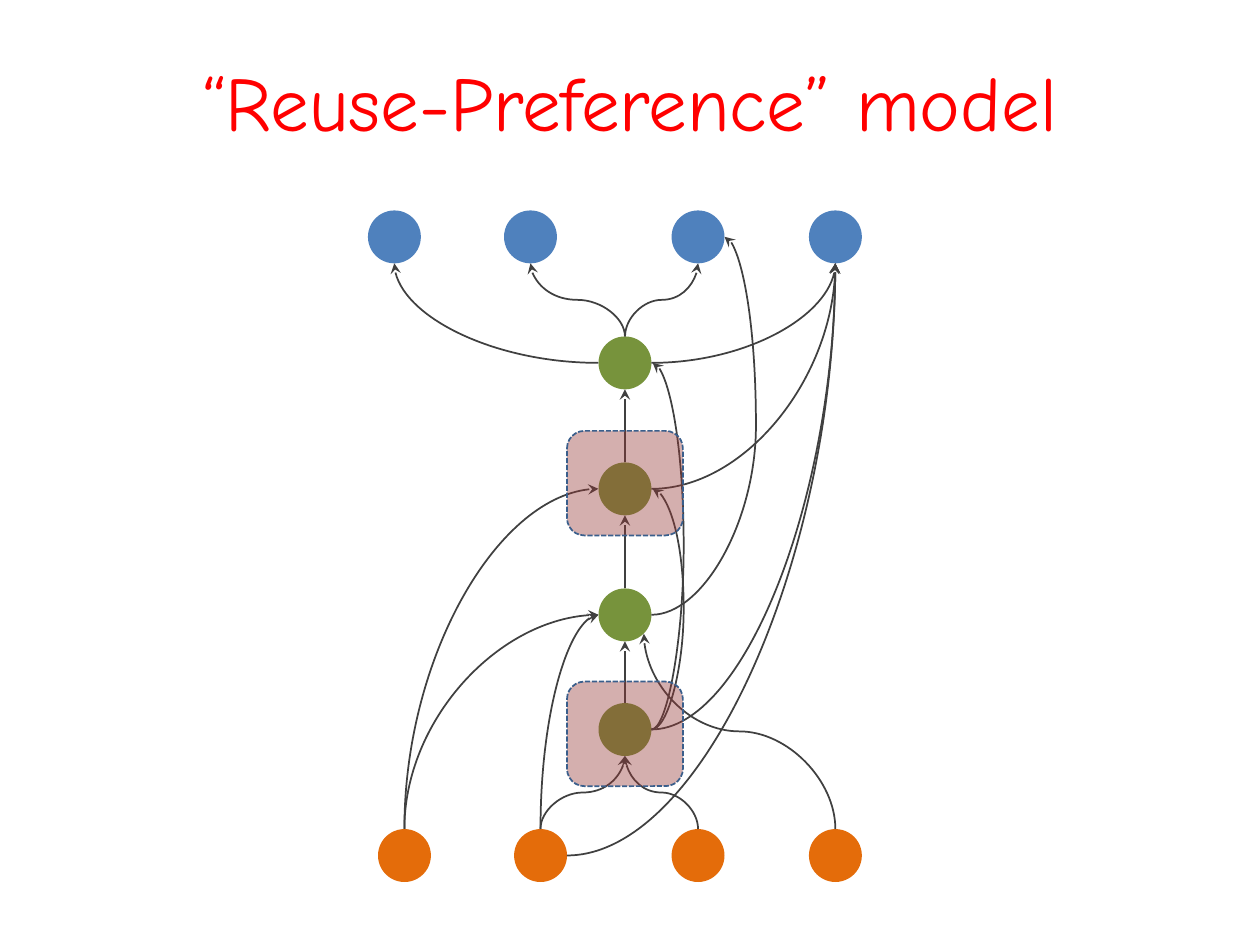
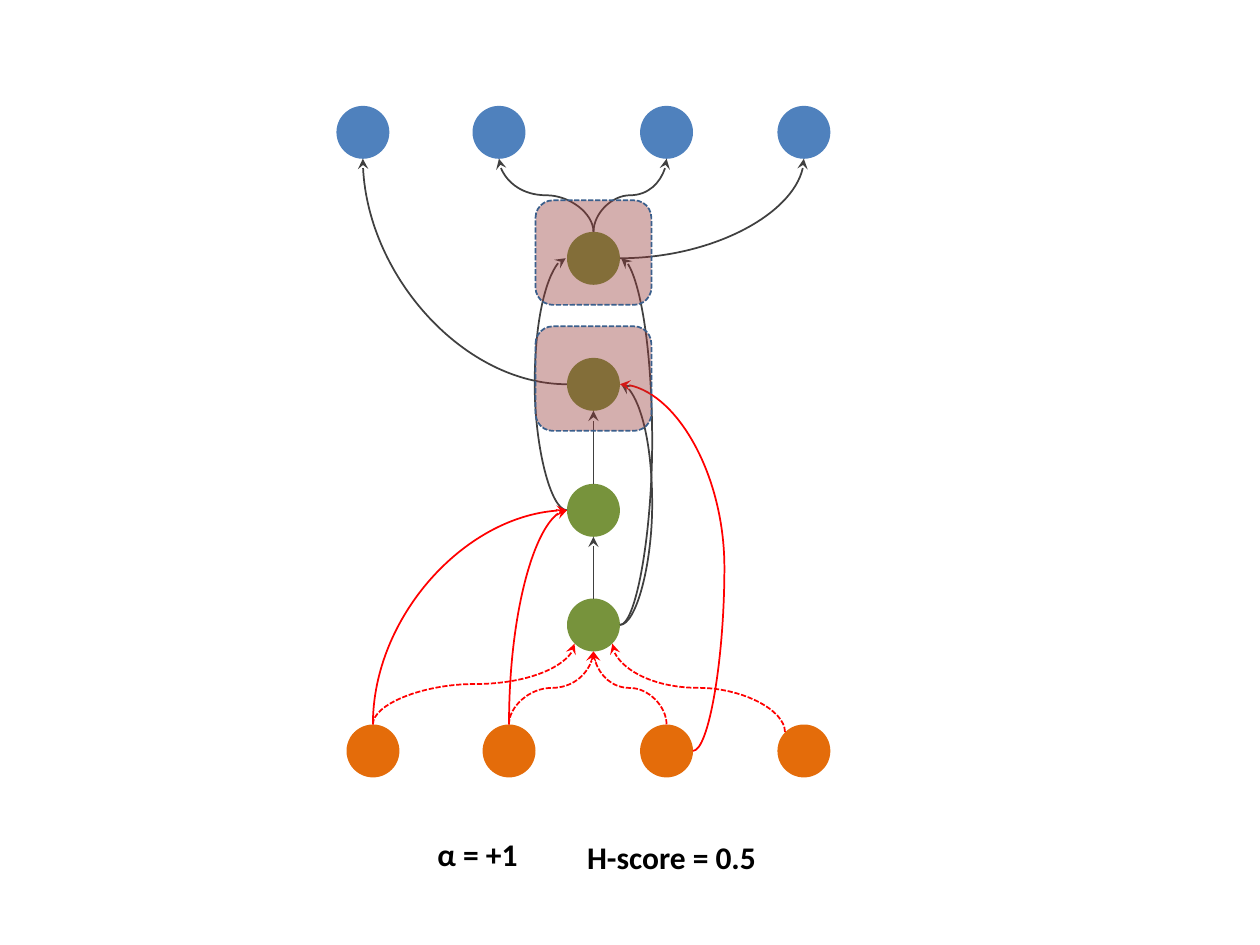
"""Build two slides that show layered reuse networks with curved links."""
import dataclasses

import lxml.etree
import pptx
import pptx.dml.color
import pptx.enum.dml
import pptx.enum.shapes
import pptx.enum.text
import pptx.oxml.ns
import pptx.util

Inches = pptx.util.Inches
qn = pptx.oxml.ns.qn
add = lxml.etree.SubElement
Kind = pptx.enum.shapes.MSO_SHAPE
Dash = pptx.enum.dml.MSO_LINE
Anchor = pptx.enum.text.MSO_ANCHOR


@dataclasses.dataclass
class Theme:
    top: str = "4F81BD"
    hub: str = "77933C"
    base: str = "E46C0A"
    link: str = "404040"
    hot: str = "FF0000"
    box: str = "953735"
    edge: str = "3A5F8C"
    ink: str = "000000"
    head: str = "Comic Neue"
    body: str = "Calibri"
    large: int = 44
    small: int = 18
    thin: int = 1


theme = Theme()
SIZE = 0.42
HALF = SIZE / 2
SLANT = 0.15
BULGE = 0.25
BOX = (0.92, 0.83)

nodes = {}
for row, y, lefts in (("t", 1.67, (2.92, 4, 5.33, 6.42)),
                      ("b", 6.58, (3, 4.08, 5.33, 6.42))):
    for num, x in enumerate(lefts, 1):
        nodes[f"{row}{num}"] = (x, y)
for num, y in enumerate((2.67, 3.67, 4.67, 5.58), 1):
    nodes[f"h{num}"] = (4.75, y)
fills = {"t": theme.top, "h": theme.hub, "b": theme.base}

graphs = [
    {
        "shift": (0, 0),
        "links": [(theme.link, False,
                   "h2e>t4s h2n>h1s b2n>h4s b1n>h2w h4e>t4s b1n>h3w h4e>h1e "
                   "h4e>h2e h4n>h3s h1n>t3s h1e>t4s h1n>t2s h1w>t1s h3e>t3e "
                   "b2e>t4s b4n>h3se b2n>h3w h3n>h2s b3n>h4s")],
        "boxes": [("h4", 0.17), ("h2", 0.25)],
        "texts": [("“Reuse-Preference” model", (0, 0.17, 10, 1.25),
                   theme.head, theme.large, theme.hot, False)],
    },
    {
        "shift": (-0.25, -0.83),
        "links": [(theme.link, False,
                   "h3w>h1w h4e>h1e h4e>h2e h4n>h3s h1n>t3s h1e>t4s h1n>t2s "
                   "h2w>t1s h3n>h2s"),
                  (theme.hot, False, "b1n>h3w b3e>h2e b2n>h3w"),
                  (theme.hot, True, "b2n>h4s b3n>h4s b4nw>h4se b1n>h4sw")],
        "boxes": [("h2", 0.25), ("h1", 0.25)],
        "texts": [("α = +1", (3.25, 6.58, 1.08, 0.4),
                   theme.body, theme.small, theme.ink, True),
                  ("H-score = 0.5", (4.33, 6.6, 2, 0.4),
                   theme.body, theme.small, theme.ink, True)],
    },
]


def paint(shape, color):
    shape.shadow.inherit = False
    shape.fill.solid()
    shape.fill.fore_color.rgb = pptx.dml.color.RGBColor.from_string(color)
    shape.line.fill.background()


def spot(end, shift):
    name, side = end[:2], end[2:]
    reach = HALF if len(side) == 1 else SLANT
    x = nodes[name][0] + shift[0] + HALF
    y = nodes[name][1] + shift[1] + HALF
    return (x + reach * (("e" in side) - ("w" in side)),
            y + reach * (("s" in side) - ("n" in side)))


deck = pptx.Presentation()
deck.slide_width, deck.slide_height = Inches(10), Inches(7.5)

for graph in graphs:
    sheet = deck.slides.add_slide(deck.slide_layouts[6])
    shift = graph["shift"]

    for name, (x, y) in nodes.items():
        node = sheet.shapes.add_shape(
            Kind.OVAL, Inches(x + shift[0]), Inches(y + shift[1]),
            Inches(SIZE), Inches(SIZE))
        paint(node, fills[name[0]])

    for color, dashed, pairs in graph["links"]:
        for pair in pairs.split():
            tail, tip = pair.split(">")
            x1, y1 = spot(tail, shift)
            x2, y2 = spot(tip, shift)
            rise = tail[2] in "ns"
            bend = rise != (tip[2] in "ns")
            turn, ratio = 0, 0.5
            if rise:
                sign = 1 if x2 >= x1 else -1
                turn = 90 if sign == 1 else 270
                mid_x, mid_y = (x1 + x2) / 2, (y1 + y2) / 2
                run, drop = sign * (y2 - y1) / 2, -sign * (x2 - x1) / 2
                x1, y1, x2, y2 = (mid_x - run, mid_y - drop,
                                  mid_x + run, mid_y + drop)
            elif not bend:
                out = 1 if tail[2] == "e" else -1
                if abs(x2 - x1) < 0.01:
                    x2 = x1 + 0.01 * out
                far = max(x1 * out, x2 * out) * out + BULGE * out
                ratio = (far - x1) / (x2 - x1)
            link = sheet.shapes.add_connector(
                pptx.enum.shapes.MSO_CONNECTOR.CURVE,
                Inches(x1), Inches(y1), Inches(x2), Inches(y2))
            link.line.color.rgb = pptx.dml.color.RGBColor.from_string(color)
            link.line.width = pptx.util.Pt(theme.thin)
            if dashed:
                link.line.dash_style = Dash.SQUARE_DOT
            props = link._element.spPr
            if turn:
                props.find(qn("a:xfrm")).set("rot", str(turn * 60000))
            shape = props.find(qn("a:prstGeom"))
            if bend:
                shape.set("prst", "curvedConnector2")
            else:
                add(shape.find(qn("a:avLst")), qn("a:gd"), name="adj1",
                    fmla=f"val {round(ratio * 100000)}")
            add(props.find(qn("a:ln")), qn("a:tailEnd"), type="stealth")
            add(props, qn("a:effectLst"))

    for name, lift in graph["boxes"]:
        x, y = nodes[name]
        box = sheet.shapes.add_shape(
            Kind.ROUNDED_RECTANGLE, Inches(x + shift[0] - 0.25),
            Inches(y + shift[1] - lift), *map(Inches, BOX))
        paint(box, theme.box)
        tint = box._element.spPr.find(qn("a:solidFill"))[0]
        add(tint, qn("a:alpha"), val="40000")
        box.line.color.rgb = pptx.dml.color.RGBColor.from_string(theme.edge)
        box.line.width = pptx.util.Pt(theme.thin)
        box.line.dash_style = Dash.SQUARE_DOT

    for words, place, font, size, color, bold in graph["texts"]:
        frame = sheet.shapes.add_textbox(*map(Inches, place)).text_frame
        frame.word_wrap = True
        frame.vertical_anchor = Anchor.TOP if bold else Anchor.MIDDLE
        line = frame.paragraphs[0]
        line.alignment = pptx.enum.text.PP_ALIGN.CENTER
        run = line.add_run()
        run.text = words
        run.font.name, run.font.size = font, pptx.util.Pt(size)
        run.font.bold = bold
        run.font.color.rgb = pptx.dml.color.RGBColor.from_string(color)

deck.save("out.pptx")
